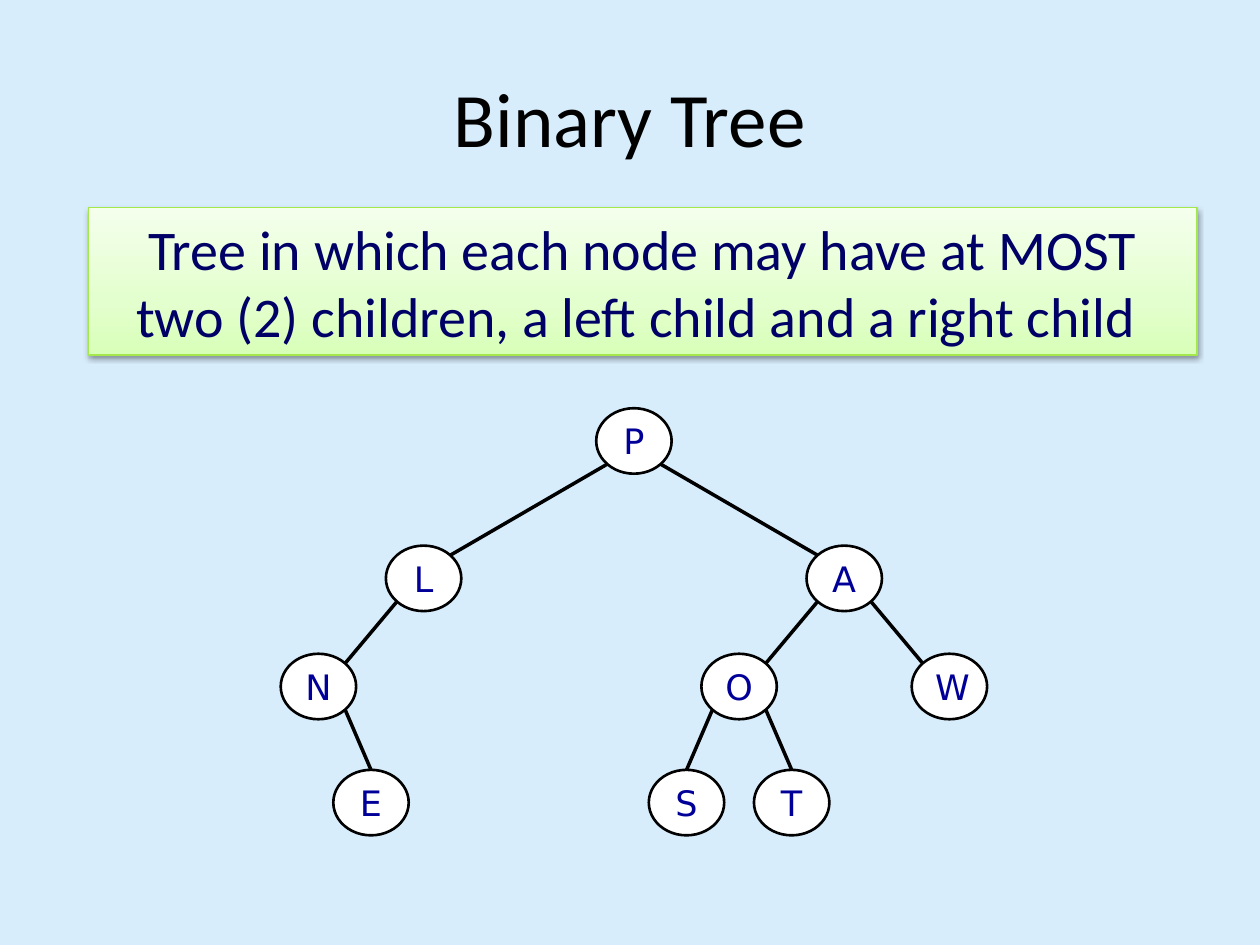
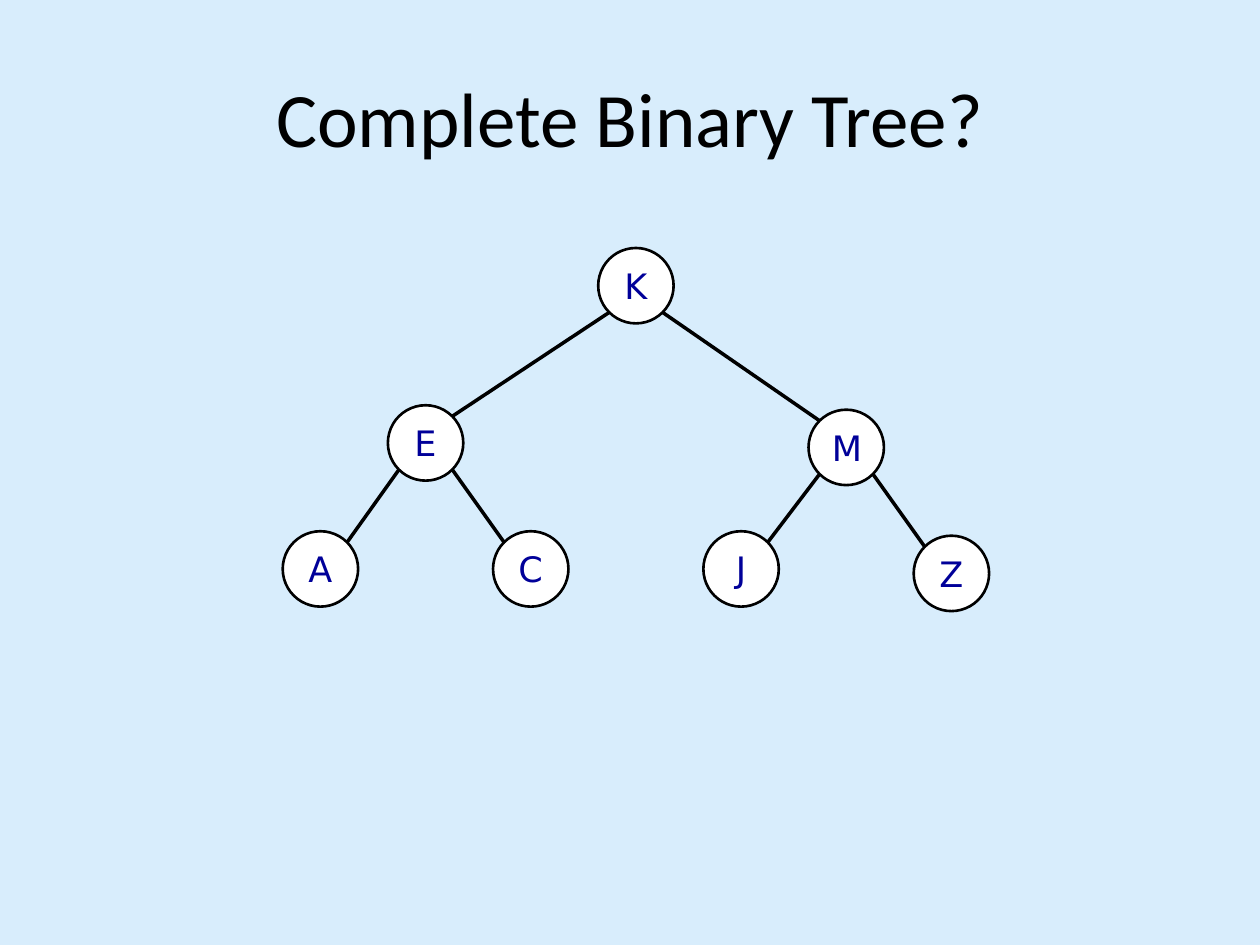
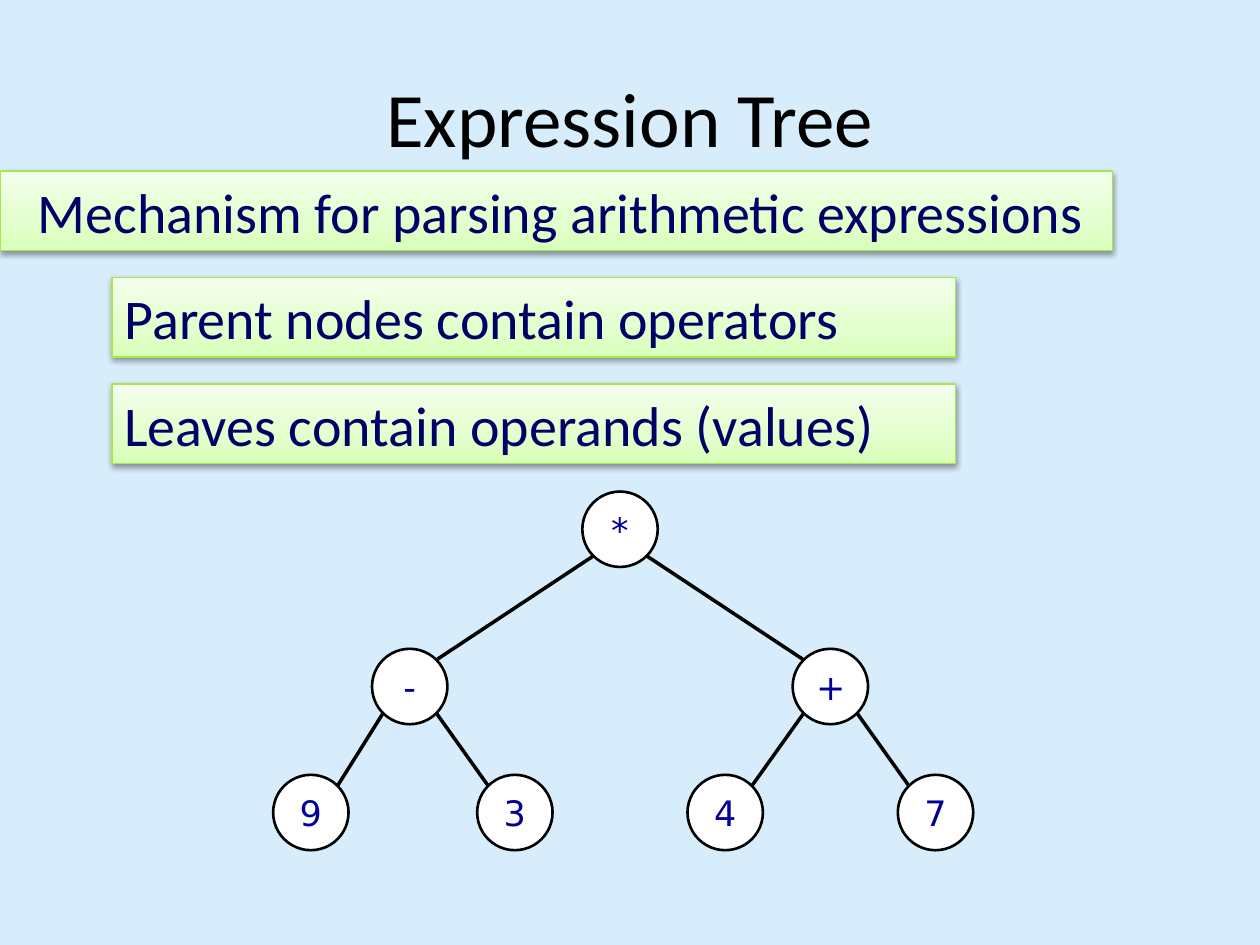
import math
from dataclasses import dataclass
from typing import Any, Optional

import pptx
import pptx.dml.color
import pptx.enum.shapes
import pptx.enum.text
import pptx.oxml
import pptx.oxml.ns
import pptx.util
from copy import deepcopy

Cm = pptx.util.Cm
Pt = pptx.util.Pt
RGBColor = pptx.dml.color.RGBColor
Align = pptx.enum.text.PP_ALIGN
Anchor = pptx.enum.text.MSO_ANCHOR
Preset = pptx.enum.shapes.MSO_SHAPE

SKY = RGBColor(0xD8, 0xED, 0xFC)
BLACK = RGBColor(0, 0, 0)
WHITE = RGBColor(0xFF, 0xFF, 0xFF)
NODE_BLUE = RGBColor(0, 0, 0x99)
BANNER_BLUE = RGBColor(0, 0, 0x66)
BANNER_EDGE = RGBColor(0xA4, 0xE9, 0x4C)
BANNER_STOPS = (
    (0.0, RGBColor(0xD8, 0xFF, 0xB8)),
    (0.35, RGBColor(0xE3, 0xFF, 0xCD)),
    (1.0, RGBColor(0xF4, 0xFF, 0xEC)),
)
BODY_FONT = "Calibri"
NODE_FONT = "DejaVu Sans"
COLUMN_STEP = 1.06
NODE_WIDTH = 1.52
DIAGONAL = math.sqrt(0.5)

BANNER_SHADOW = (
    f"<a:effectLst {pptx.oxml.ns.nsdecls('a')}>"
    '<a:outerShdw blurRad="40000" dist="20000" dir="5400000" rotWithShape="0">'
    '<a:srgbClr val="000000"><a:alpha val="38000"/></a:srgbClr>'
    "</a:outerShdw></a:effectLst>"
)
NO_EFFECTS = f"<a:effectLst {pptx.oxml.ns.nsdecls('a')}/>"


@dataclass(frozen=True)
class Node:
    label: str
    column: float
    y: float
    parent: Optional[str] = None


@dataclass(frozen=True)
class Tree:
    root_x: float
    node_height: float
    nodes: tuple[Node, ...]

    def center_x(self, node: Node) -> float:
        return self.root_x + node.column * COLUMN_STEP


@dataclass(frozen=True)
class Banner:
    text: str
    left: float
    top: float
    width: float
    height: float = 1.6
    align: Any = Align.LEFT
    inset: float = 0.25


@dataclass(frozen=True)
class Topic:
    title: str
    tree: Tree
    banners: tuple[Banner, ...] = ()


def write(box: Any, text: str, font: str, size: int, color: RGBColor, align: Any, anchor: Any) -> None:
    frame = box.text_frame
    frame.word_wrap = True
    frame.vertical_anchor = anchor
    para = frame.paragraphs[0]
    para.alignment = align
    span = para.add_run()
    span.text = text
    span.font.name = font
    span.font.size = Pt(size)
    span.font.color.rgb = color


def draw_title(page: Any, text: str) -> None:
    box = page.shapes.add_textbox(Cm(1.27), Cm(0.76), Cm(22.86), Cm(3.18))
    write(box, text, BODY_FONT, 44, BLACK, Align.CENTER, Anchor.MIDDLE)


def draw_node(group: Any, tree: Tree, node: Node) -> None:
    circle = group.shapes.add_shape(
        Preset.OVAL,
        Cm(tree.center_x(node) - NODE_WIDTH / 2),
        Cm(node.y - tree.node_height / 2),
        Cm(NODE_WIDTH),
        Cm(tree.node_height),
    )
    circle.shadow.inherit = False
    circle.fill.solid()
    circle.fill.fore_color.rgb = WHITE
    circle.line.color.rgb = BLACK
    circle.line.width = Pt(1.5)
    write(circle, node.label, NODE_FONT, 20, NODE_BLUE, Align.CENTER, Anchor.MIDDLE)


def draw_edge(group: Any, tree: Tree, parent: Node, child: Node) -> None:
    side = math.copysign(1, child.column - parent.column)
    reach_x = side * NODE_WIDTH / 2 * DIAGONAL
    reach_y = tree.node_height / 2 * DIAGONAL
    end_x = tree.center_x(child) - reach_x
    end_y = child.y - reach_y
    if abs(child.column - parent.column) <= 1:
        end_x = tree.center_x(child)
        end_y = child.y - tree.node_height / 2
    edge = group.shapes.add_connector(
        pptx.enum.shapes.MSO_CONNECTOR.STRAIGHT,
        Cm(tree.center_x(parent) + reach_x),
        Cm(parent.y + reach_y),
        Cm(end_x),
        Cm(end_y),
    )
    edge.line.color.rgb = BLACK
    edge.line.width = Pt(2)
    edge._element.spPr.append(pptx.oxml.parse_xml(NO_EFFECTS))


def draw_tree(page: Any, tree: Tree) -> None:
    group = page.shapes.add_group_shape()
    by_label = {node.label: node for node in tree.nodes}
    for node in tree.nodes:
        draw_node(group, tree, node)
    for node in tree.nodes:
        if node.parent is not None:
            draw_edge(group, tree, by_label[node.parent], node)


def draw_banner(page: Any, banner: Banner) -> None:
    box = page.shapes.add_shape(
        Preset.RECTANGLE, Cm(banner.left), Cm(banner.top), Cm(banner.width), Cm(banner.height)
    )
    box.fill.gradient()
    box.fill.gradient_angle = 90
    stop_list = box._element.spPr.find(".//" + pptx.oxml.ns.qn("a:gsLst"))
    stop_list.append(deepcopy(stop_list[-1]))
    for stop, (position, color) in zip(box.fill.gradient_stops, BANNER_STOPS):
        stop.position = position
        stop.color.rgb = color
    box.line.color.rgb = BANNER_EDGE
    box.line.width = Pt(0.75)
    box._element.spPr.append(pptx.oxml.parse_xml(BANNER_SHADOW))
    write(box, banner.text, BODY_FONT, 32, BANNER_BLUE, banner.align, Anchor.TOP)
    box.text_frame.margin_left = Cm(banner.inset)
    box.text_frame.auto_size = pptx.enum.text.MSO_AUTO_SIZE.SHAPE_TO_FIT_TEXT


def draw_topic(deck: Any, topic: Topic) -> None:
    page = deck.slides.add_slide(deck.slide_layouts[6])
    page.background.fill.solid()
    page.background.fill.fore_color.rgb = SKY
    draw_title(page, topic.title)
    draw_tree(page, topic.tree)
    for banner in topic.banners:
        draw_banner(page, banner)


TOPICS = (
    Topic(
        "Binary Tree",
        Tree(12.78, 1.32, (
            Node("P", 0, 8.89),
            Node("L", -4, 11.66, "P"),
            Node("A", 4, 11.66, "P"),
            Node("N", -6, 13.84, "L"),
            Node("O", 2, 13.84, "A"),
            Node("W", 6, 13.84, "A"),
            Node("E", -5, 16.18, "N"),
            Node("S", 1, 16.18, "O"),
            Node("T", 3, 16.18, "O"),
        )),
        (
            Banner(
                "Tree in which each node may have at MOST two (2) children, "
                "a left child and a right child ",
                1.78, 4.19, 22.35, 2.97, Align.CENTER,
            ),
        ),
    ),
    Topic(
        "Complete Binary Tree?",
        Tree(12.82, 1.52, (
            Node("K", 0, 5.76),
            Node("E", -4, 8.93, "K"),
            Node("M", 4, 9.02, "K"),
            Node("A", -6, 11.47, "E"),
            Node("C", -2, 11.47, "E"),
            Node("J", 2, 11.47, "M"),
            Node("Z", 6, 11.56, "M"),
        )),
    ),
    Topic(
        "Expression Tree",
        Tree(12.5, 1.52, (
            Node("*", 0, 10.67),
            Node("-", -4, 13.84, "*"),
            Node("+", 4, 13.84, "*"),
            Node("9", -5.88, 16.38, "-"),
            Node("3", -2, 16.38, "-"),
            Node("4", 2, 16.38, "+"),
            Node("7", 6, 16.38, "+"),
        )),
        (
            Banner("Mechanism for parsing arithmetic expressions", 0, 3.45, 22.43, inset=0.76),
            Banner("Parent nodes contain operators", 2.26, 5.6, 17),
            Banner("Leaves contain operands (values)", 2.26, 7.74, 17),
        ),
    ),
)

deck = pptx.Presentation()
deck.slide_width = Cm(25.4)
deck.slide_height = Cm(19.05)
for topic in TOPICS:
    draw_topic(deck, topic)
deck.save("out.pptx")
